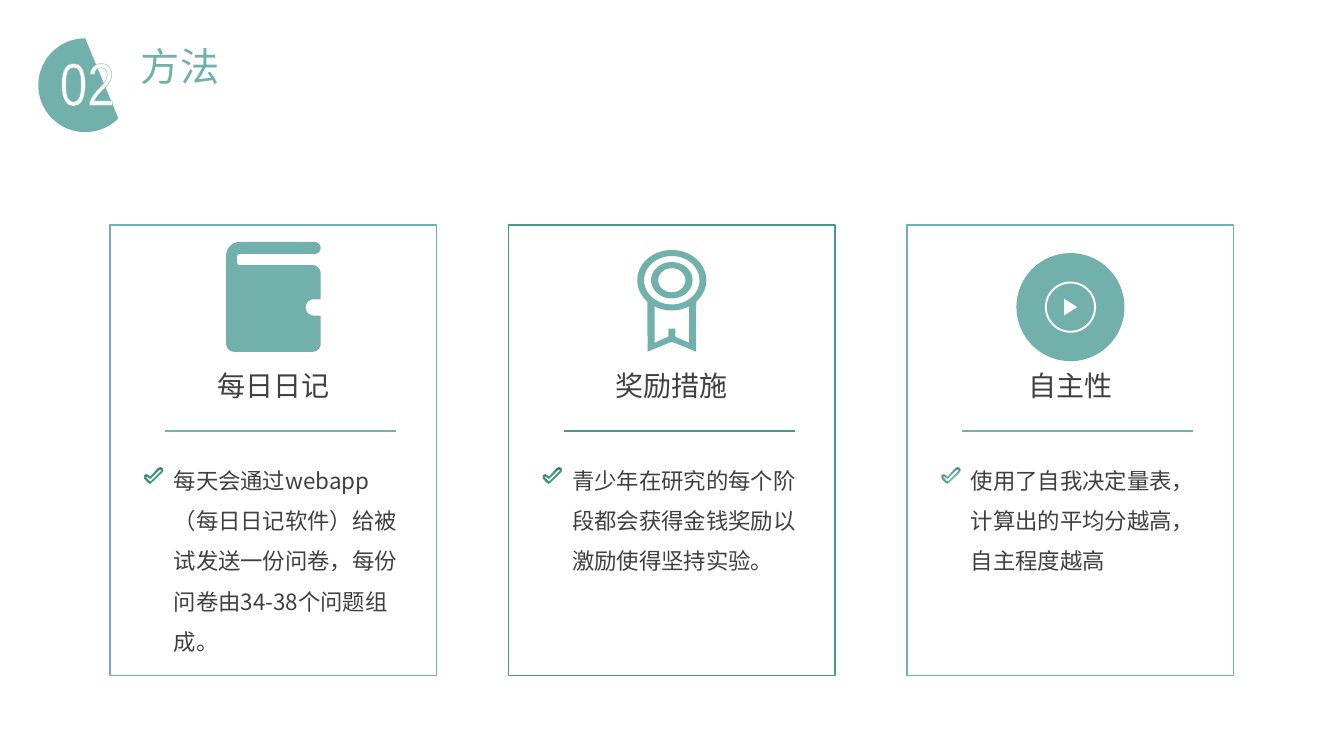
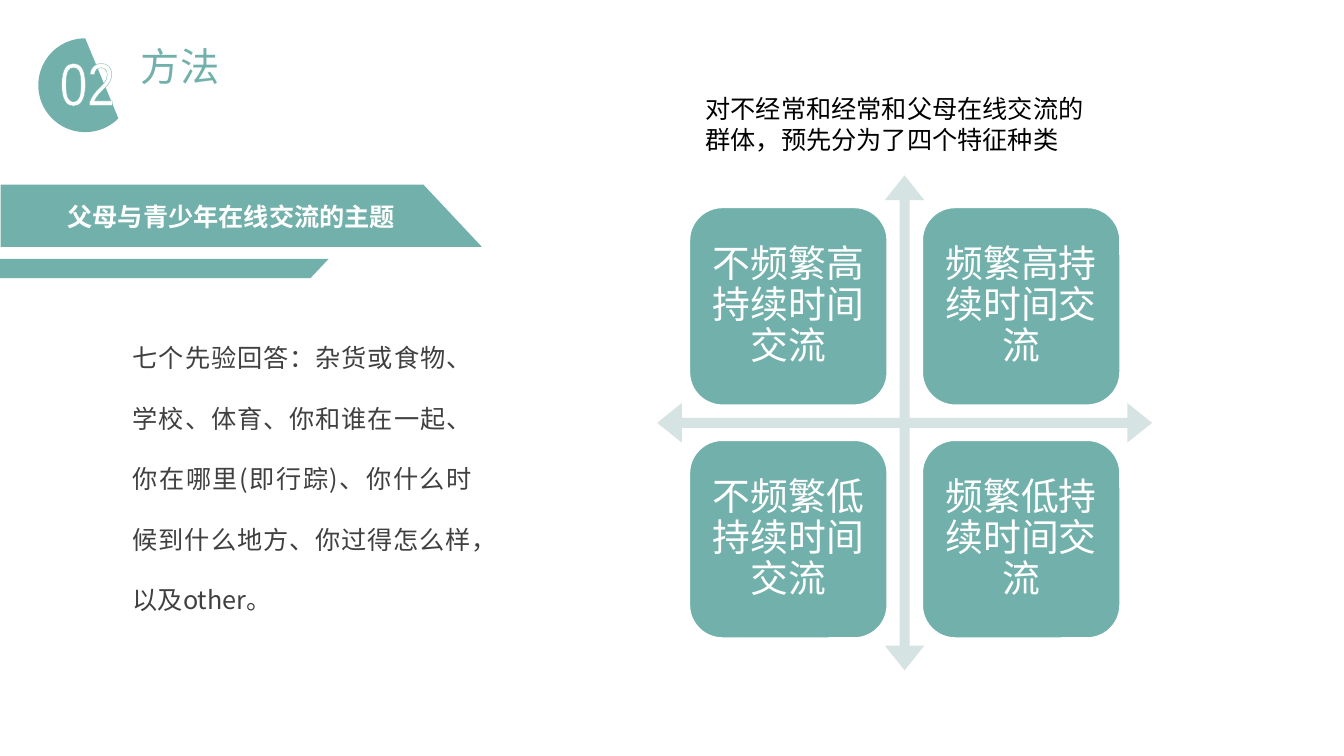
import math

import pptx
import pptx.util
import pptx.dml.color
import pptx.enum.shapes
import pptx.enum.text
import pptx.oxml
import pptx.oxml.ns
from lxml import etree

Pt = pptx.util.Pt
RGB = pptx.dml.color.RGBColor
KIND = pptx.enum.shapes.MSO_SHAPE
ALIGN = pptx.enum.text.PP_ALIGN
MIDDLE = pptx.enum.text.MSO_ANCHOR.MIDDLE
qn = pptx.oxml.ns.qn

TEAL = RGB(0x72, 0xB1, 0xAB)
GREEN = RGB(0x47, 0x9A, 0x89)
PALE = RGB(0xD5, 0xE4, 0xE2)
SLATE = RGB(0x3A, 0x41, 0x4B)
GREY = RGB(0x40, 0x40, 0x40)
BLACK = RGB(0, 0, 0)
WHITE = RGB(255, 255, 255)
SANS = "Noto Sans CJK SC"

CARD_X, CARD_Y, CARD_W, CARD_H = 78.5, 160.6, 233.3, 321.8
STEP = 284.75

# Both outlines of the tick, measured from its top left corner
TICK = [
    [(13, 0.7), (11.5, 0.2), (10, 0.7), (4.3, 7.2), (2.9, 5.8), (1.5, 5.3),
     (0.2, 5.8), (0.2, 7.9), (2.9, 10.8), (4, 11.4), (5, 10.8), (12.5, 3.6),
     (13.3, 2.2)],
    [(12.2, 2.9), (5, 10.1), (3.6, 10.1), (0.9, 7.2), (0.9, 6.5), (2.2, 6.5),
     (4.3, 7.9), (10.8, 1.4), (12.2, 1.4)],
]


def paint(shape, fill=None, line=None, width=1):
    shape.shadow.inherit = False
    if fill is None:
        shape.fill.background()
    else:
        shape.fill.solid()
        shape.fill.fore_color.rgb = fill
    if line is None:
        shape.line.fill.background()
    else:
        shape.line.color.rgb = line
        shape.line.width = Pt(width)
    return shape


def preset(slide, kind, x, y, w, h, **look):
    shape = slide.shapes.add_shape(kind, Pt(x), Pt(y), Pt(w), Pt(h))
    return paint(shape, **look)


def outline(slide, x, y, loops, **look):
    """Draw closed loops as one shape; an inner loop cuts a hole."""
    loops = [[(Pt(x + a), Pt(y + b)) for a, b in loop] for loop in loops]
    pen = slide.shapes.build_freeform(*loops[0][0])
    pen.add_line_segments(loops[0][1:])
    for loop in loops[1:]:
        pen.move_to(*loop[0])
        pen.add_line_segments(loop[1:])
    return paint(pen.convert_to_shape(), **look)


def arc(x, y, rx, ry, start, end):
    """Points along an ellipse; angles run clockwise from the right."""
    count = max(6, round(abs(end - start) / 6))
    turns = [math.radians(start + (end - start) * i / count)
             for i in range(count + 1)]
    return [(x + rx * math.cos(t), y + ry * math.sin(t)) for t in turns]


def write(shape, text, size, color, name=SANS, align=ALIGN.LEFT, lead=None,
          bold=False):
    frame = shape.text_frame
    frame.word_wrap = True
    para = frame.paragraphs[0]
    para.text = text
    para.alignment = align
    if lead:
        para.line_spacing = lead
    font = para.font
    font.size, font.name, font.bold = Pt(size), name, bold
    font.color.rgb = color
    props = para._p.pPr.find(qn("a:defRPr"))
    etree.SubElement(props, qn("a:ea")).set("typeface", SANS)
    return frame


def label(slide, x, y, w, h, text, size, color, **style):
    box = slide.shapes.add_textbox(Pt(x), Pt(y), Pt(w), Pt(h))
    return write(box, text, size, color, **style)


def inset(frame, gap):
    frame.margin_left = frame.margin_right = Pt(gap)
    frame.margin_top = frame.margin_bottom = Pt(gap)


def rule(slide, x, y, w, color):
    line = slide.shapes.add_connector(
        pptx.enum.shapes.MSO_CONNECTOR.STRAIGHT,
        Pt(x), Pt(y), Pt(x + w), Pt(y))
    line.line.color.rgb = color
    line.line.width = Pt(1)
    etree.SubElement(line._element.spPr, qn("a:effectLst"))


def header(slide):
    preset(slide, KIND.CHORD, 27.4, 27.4, 67, 67, fill=TEAL)
    frame = label(slide, -18.7, 28.8, 162, 59, "02", 43, WHITE,
                  name="Arial Narrow", align=ALIGN.CENTER)
    edge = pptx.oxml.parse_xml(
        '<a:ln xmlns:a="http://schemas.openxmlformats.org/drawingml/2006/main"'
        f' w="{Pt(0.75)}"><a:solidFill><a:srgbClr val="{TEAL}"/>'
        '</a:solidFill></a:ln>')
    frame.paragraphs[0].runs[0]._r.get_or_add_rPr().insert(0, edge)
    label(slide, 93.6, 26.6, 222.5, 41, "方法", 28, TEAL, name="Arial")


def book(slide, x):
    loop = (arc(61.5, 22.5, 6, 6, 0, -90)
            + arc(9.4, 15, 1.5, 1.5, 90, 180)
            + arc(9.4, 10.1, 1.5, 1.5, 180, 270)
            + arc(63.2, 4.3, 4.3, 4.3, 90, -90)
            + arc(9.7, 9.7, 9.7, 9.7, 270, 180)
            + arc(5.8, 72.7, 5.8, 5.8, 180, 90)
            + arc(61.7, 72.7, 5.8, 5.8, 90, 0)
            + [(67.5, 52.6)]
            + arc(62.6, 46.8, 5.8, 5.8, 90, 270)
            + [(67.5, 41)])
    outline(slide, x - 33.6, 172.8, [loop], fill=TEAL)


def medal(slide, x):
    rim = arc(0, 0, 24.7, 21.6, 45, -225)
    tails = [(-17.3, 51), (0, 43.9), (17.3, 51)]
    gap = [(12.2, 44.6), (2.5, 40.3), (2.5, 34.6), (-2.5, 34.6),
           (-2.5, 40.3), (-12.2, 44.6)]
    loops = [rim + tails, gap + arc(0, 0, 24.7, 21.6, 120, 60)]
    for rx, ry in ((19.8, 17.3), (14.8, 13), (9.7, 8.6)):
        loops.append(arc(0, 0, rx, ry, 0, 354))
    outline(slide, x, 200.2, loops, fill=TEAL)


def play(slide, x):
    y = 219.4
    for r, look in ((38.6, {"fill": TEAL}),
                    (17.6, {"line": WHITE, "width": 1.4})):
        preset(slide, KIND.OVAL, x - r, y - r, 2 * r, 2 * r, **look)
    outline(slide, x, y, [[(-4.5, -6), (4.8, 0), (-4.5, 6)]], fill=WHITE)


def card(slide, x, title, text, icon, edge, tick):
    preset(slide, KIND.RECTANGLE, x, CARD_Y, CARD_W, CARD_H, line=edge)
    icon(slide, x + CARD_W / 2)
    inset(label(slide, x, 263.5, CARD_W, 24.5, title, 20, GREY,
                align=ALIGN.CENTER), 0)
    rule(slide, x + 39.5, 308, 165, edge)
    outline(slide, x + 24.6, 333.8, TICK, fill=SLATE, line=tick, width=0.75)
    label(slide, x + 38.5, 320.4, 175.7, 149, text, 16, GREY, lead=1.5)


def cards(slide):
    header(slide)
    rows = [
        ("每日日记", "每天会通过webapp（每日日记软件）给被试发送一份问卷，"
         "每份问卷由34-38个问题组成。", book, TEAL, GREEN),
        ("奖励措施", "青少年在研究的每个阶段都会获得金钱奖励以激励使得坚持实验。",
         medal, GREEN, GREEN),
        ("自主性", "使用了自我决定量表，计算出的平均分越高，自主程度越高",
         play, TEAL, TEAL),
    ]
    for i, row in enumerate(rows):
        card(slide, CARD_X + i * STEP, *row)


def banner(slide):
    outline(slide, 0, 131.8, [[(0.5, 0), (302.4, 0), (344.2, 44.6),
                               (0.5, 44.6)]], fill=TEAL)
    outline(slide, 0, 185, [[(0, 0), (234.7, 0), (221.8, 13.7), (0, 13.7)]],
            fill=TEAL)
    label(slide, 23, 140.4, 284.4, 29, "父母与青少年在线交流的主题", 18, WHITE,
          align=ALIGN.CENTER, bold=True)


def matrix(slide):
    cross = preset(slide, KIND.QUAD_ARROW, 469.4, 125.3, 353.5, 353.5,
                   fill=PALE)
    for i, part in enumerate((0.02, 0.04, 0.05)):
        cross.adjustments[i] = part
    names = ["不频繁高持续时间交流", "频繁高持续时间交流",
             "不频繁低持续时间交流", "频繁低持续时间交流"]
    for i, name in enumerate(names):
        row, col = divmod(i, 2)
        tile = preset(slide, KIND.ROUNDED_RECTANGLE, 492.5 + col * 166.3,
                      148.2 + row * 166.3, 141.2, 141.2, fill=TEAL, line=WHITE)
        frame = write(tile, name, 27, WHITE, align=ALIGN.CENTER, lead=0.9)
        frame.vertical_anchor = MIDDLE
        inset(frame, 7.9)


def topics(slide):
    banner(slide)
    label(slide, 87.8, 219.6, 256.3, 222,
          "七个先验回答：杂货或食物、学校、体育、你和谁在一起、你在哪里(即行踪)、"
          "你什么时候到什么地方、你过得怎么样，以及other。",
          18, GREY, align=ALIGN.JUSTIFY, lead=2)
    matrix(slide)
    label(slide, 496.8, 63.4, 284.4, 51,
          "对不经常和经常和父母在线交流的群体，预先分为了四个特征种类", 18, BLACK)
    header(slide)


def main():
    deck = pptx.Presentation()
    deck.slide_width, deck.slide_height = Pt(960), Pt(540)
    for build in (cards, topics):
        build(deck.slides.add_slide(deck.slide_layouts[6]))
    deck.save("out.pptx")


if __name__ == "__main__":
    main()
